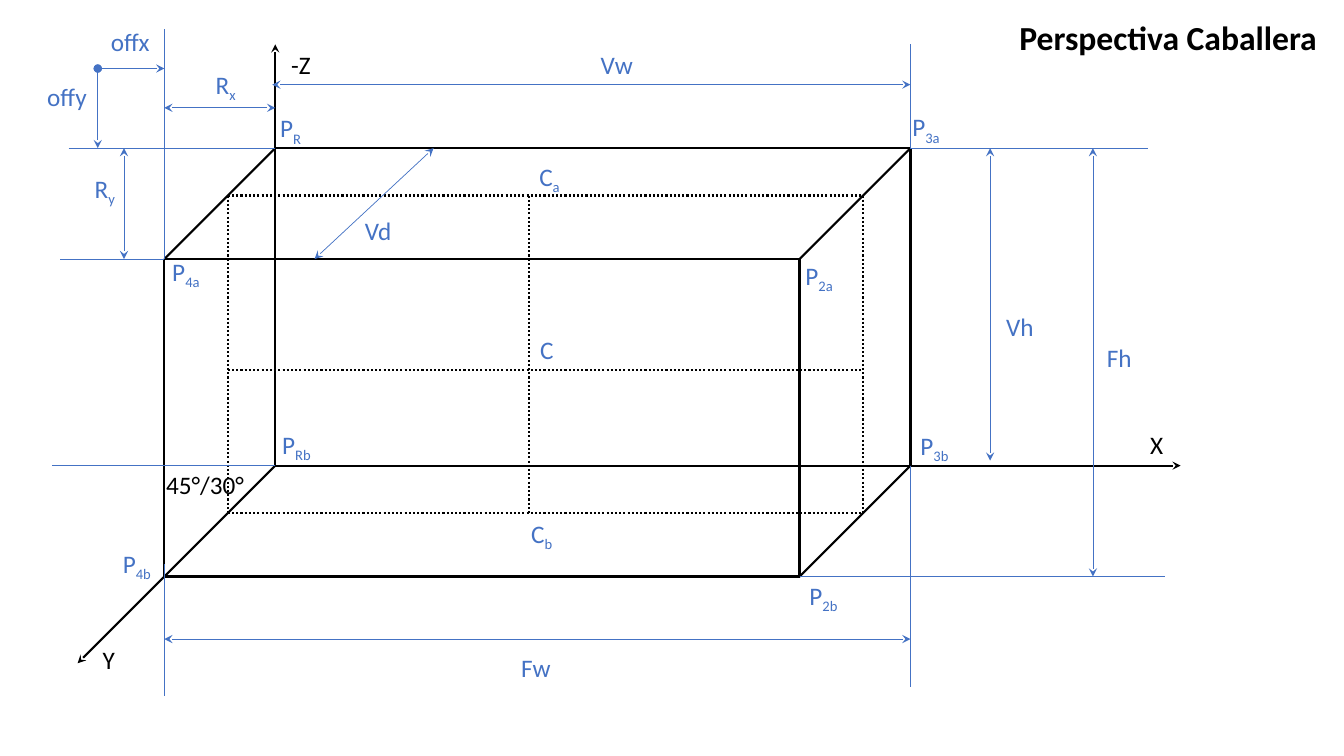
from lxml import etree
from pptx import Presentation
from pptx import util as u
from pptx.dml.color import RGBColor
from pptx.enum import dml, shapes, text
from pptx.oxml.ns import qn

PX = 9144  # 100 px to the inch
BLACK, BLUE = "000000", "4472C4"
TITLE = ("Perspectiva Caballera", 1001, 12, 319, 50)

# Box: back face, and the shifts along the slanted depth
LEFT, TOP, RIGHT, BASE = 273, 147, 903, 462
DEPTH, MID = 110, 47
FL, FT, FR, FB = LEFT - DEPTH, TOP + DEPTH, RIGHT - DEPTH, BASE + DEPTH
ML, MT, MR, MB = LEFT - MID, TOP + MID, RIGHT - MID, BASE + MID
MX, MY = 525, 367

# Lines: x1, y1, x2, y2
AXES = [(LEFT, BASE, 1171, BASE), (LEFT, BASE, LEFT, 44), (LEFT, BASE, 77, 658)]
EDGES = [
    (LEFT, TOP, RIGHT, TOP), (RIGHT, TOP, RIGHT, BASE),
    (FL, FT, FR, FT), (FL, FB, FR, FB), (FL, FT, FL, FB), (FR, FT, FR, FB),
    (LEFT, TOP, FL, FT), (RIGHT, TOP, FR, FT), (RIGHT, BASE, FR, FB),
]
DOTS = [
    (ML, MT, MR, MT), (ML, MB, MR, MB), (ML, MT, ML, MB), (MR, MT, MR, MB),
    (ML, MY, MR, MY), (MX, MT, MX, MB),
]
GUIDES = [
    (68, TOP, LEFT, TOP), (60, FT, FL, FT), (52, BASE, LEFT, BASE),
    (RIGHT, TOP, 1139, TOP), (FR, FB, 1155, FB),
    (FL, FT, FL, 29), (FL, 560, FL, 690),
    (RIGHT, TOP, RIGHT, 44), (RIGHT, BASE, RIGHT, 682),
]
OFFSETS = [(97, 68, 97, TOP), (97, 68, FL, 68)]
SIZES = [
    (FL, 107, LEFT, 107), (270, 84, RIGHT, 84), (FL, 634, RIGHT, 634),
    (123, TOP, 123, FT), (982, TOP, 982, 457), (1084, TOP, 1084, FB),
    (430, TOP, 312, FT),
]
# Line groups: lines, colour, width, dash, start, end
GROUPS = [
    (AXES, BLACK, 1.5, None, None, "stealth"),
    (EDGES, BLACK, 1.5, None, None, None),
    (DOTS, BLACK, 1.5, dml.MSO_LINE.ROUND_DOT, None, None),
    (GUIDES, BLUE, 0.5, None, None, None),
    (OFFSETS, BLUE, 0.5, None, "oval", "stealth"),
    (SIZES, BLUE, 0.5, None, "stealth", "stealth"),
]

# Labels: text, subscript, x, y, width
AXIS = [
    ("Y", "", 92, 634, 32), ("-Z", "", 279, 44, 40),
    ("X", "", 1131, 421, 33), ("45°/30°", "", 155, 461, 98),
]
TIGHT = [
    ("offy", "", 37, 76, 60), ("P", "R", 268, 107, 42),
    ("R", "x", 204, 64, 42), ("R", "y", 84, 167, 42),
]
WIDE = [
    ("offx", "", 100, 21, 85), ("P", "2a", 789, 253, 51),
    ("P", "3a", 895, 106, 51), ("P", "4a", 161, 249, 51),
    ("P", "3b", 903, 422, 51), ("P", "2b", 793, 571, 51),
    ("P", "4b", 112, 539, 51), ("P", "Rb", 270, 421, 65),
    ("Fh", "", 1088, 335, 51), ("Fw", "", 507, 642, 51),
    ("Vw", "", 586, 44, 64), ("Vh", "", 988, 304, 51),
    ("Vd", "", 352, 209, 64), ("C", "", 526, 327, 64),
    ("C", "a", 525, 155, 51), ("C", "b", 517, 509, 51),
]
LABELS = [(AXIS, BLACK, False), (TIGHT, BLUE, False), (WIDE, BLUE, True)]


def px(*vals):
    return [u.Emu(v * PX) for v in vals]


def style(run, color, size, bold=False):
    form = {"name": "Calibri", "size": u.Pt(size), "bold": bold}
    for key, val in form.items():
        setattr(run.font, key, val)
    run.font.color.rgb = RGBColor.from_string(color)


def draw(slide, ends, color, width, dash, head, tail):
    con = slide.shapes.add_connector(shapes.MSO_CONNECTOR.STRAIGHT, *px(*ends))
    con.line.color.rgb = RGBColor.from_string(color)
    con.line.width = u.Pt(width)
    if dash:
        con.line.dash_style = dash
    ln = con.line._get_or_add_ln()
    for tag, kind in (("a:headEnd", head), ("a:tailEnd", tail)):
        if kind:
            etree.SubElement(ln, qn(tag), type=kind)
    etree.SubElement(con._element.spPr, qn("a:effectLst"))


def label(slide, word, sub, x, y, w, color, wrap):
    frame = slide.shapes.add_textbox(*px(x, y, w, 40)).text_frame
    frame.word_wrap = wrap
    frame.auto_size = text.MSO_AUTO_SIZE.SHAPE_TO_FIT_TEXT
    para = frame.paragraphs[0]
    for part in filter(None, (word, sub)):
        run = para.add_run()
        run.text = part
        style(run, color, 18)
    if sub:
        run.font._element.set("baseline", "-25000")


def head(slide):
    name, *spot = TITLE
    box = slide.shapes.title
    for key, val in zip(("left", "top", "width", "height"), px(*spot)):
        setattr(box, key, val)
    frame = box.text_frame
    form = {"text": name, "word_wrap": False,
            "vertical_anchor": text.MSO_ANCHOR.TOP,
            "auto_size": text.MSO_AUTO_SIZE.SHAPE_TO_FIT_TEXT}
    for key, val in form.items():
        setattr(frame, key, val)
    para = frame.paragraphs[0]
    para.alignment = text.PP_ALIGN.LEFT
    style(para.runs[0], BLACK, 24, True)


def main():
    deck = Presentation()
    deck.slide_width, deck.slide_height = u.Inches(13.33), u.Inches(7.5)
    slide = deck.slides.add_slide(deck.slide_layouts[5])
    head(slide)
    # Box, axes and dimension lines
    for lines, *look in GROUPS:
        for ends in lines:
            draw(slide, ends, *look)
    # Point, axis and dimension names
    for names, color, wrap in LABELS:
        for item in names:
            label(slide, *item, color, wrap)
    deck.save("out.pptx")


if __name__ == "__main__":
    main()
